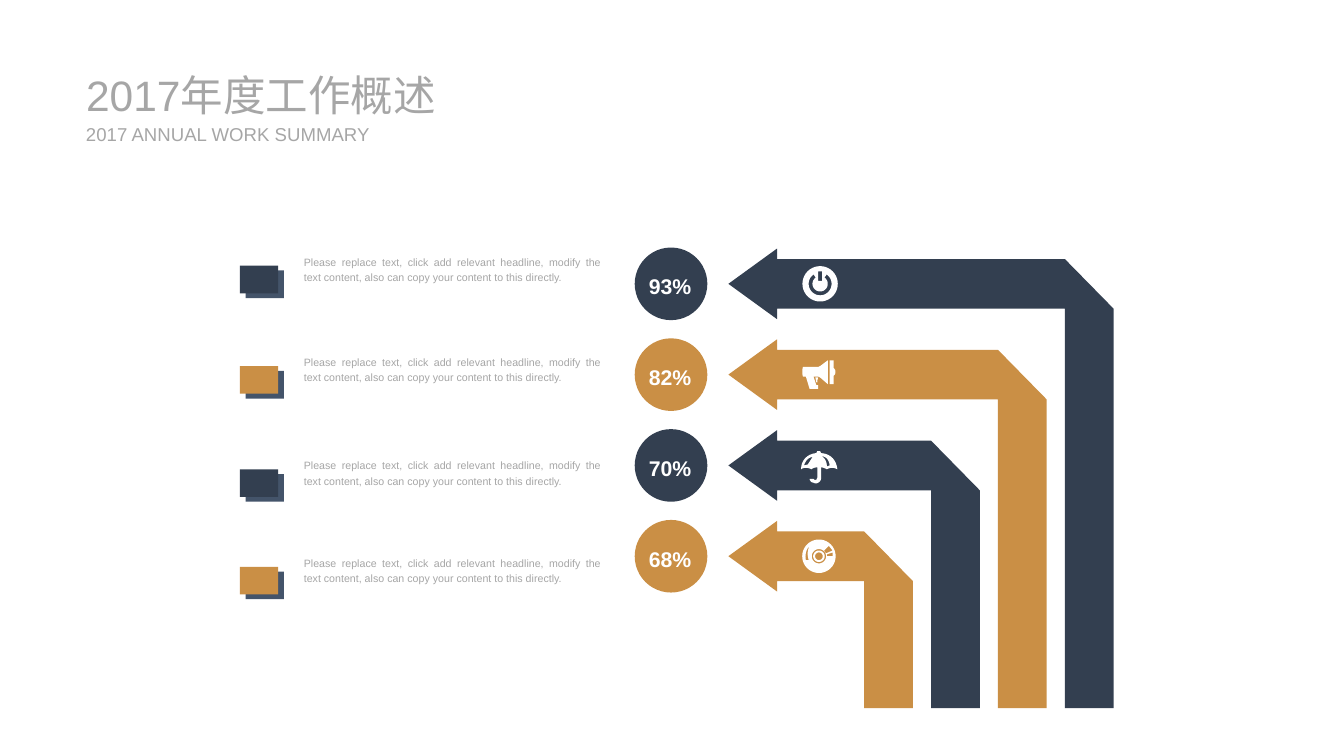
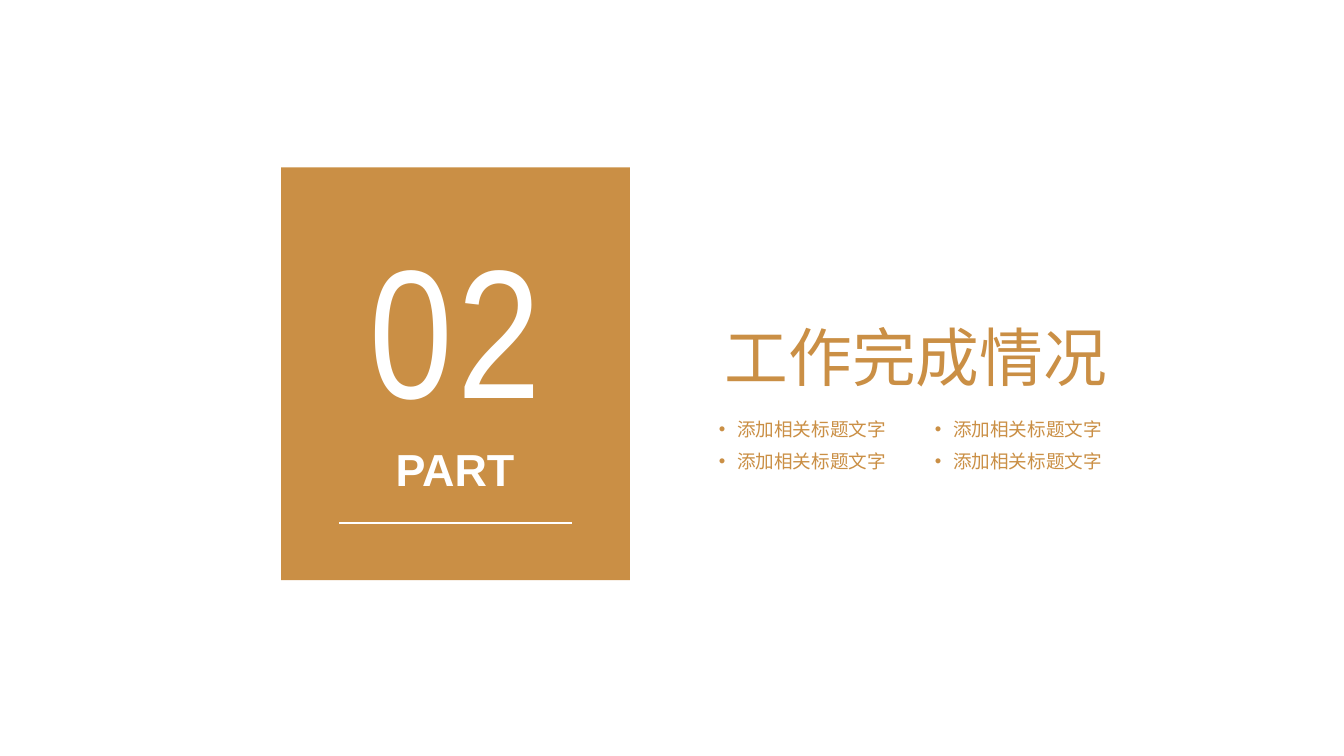
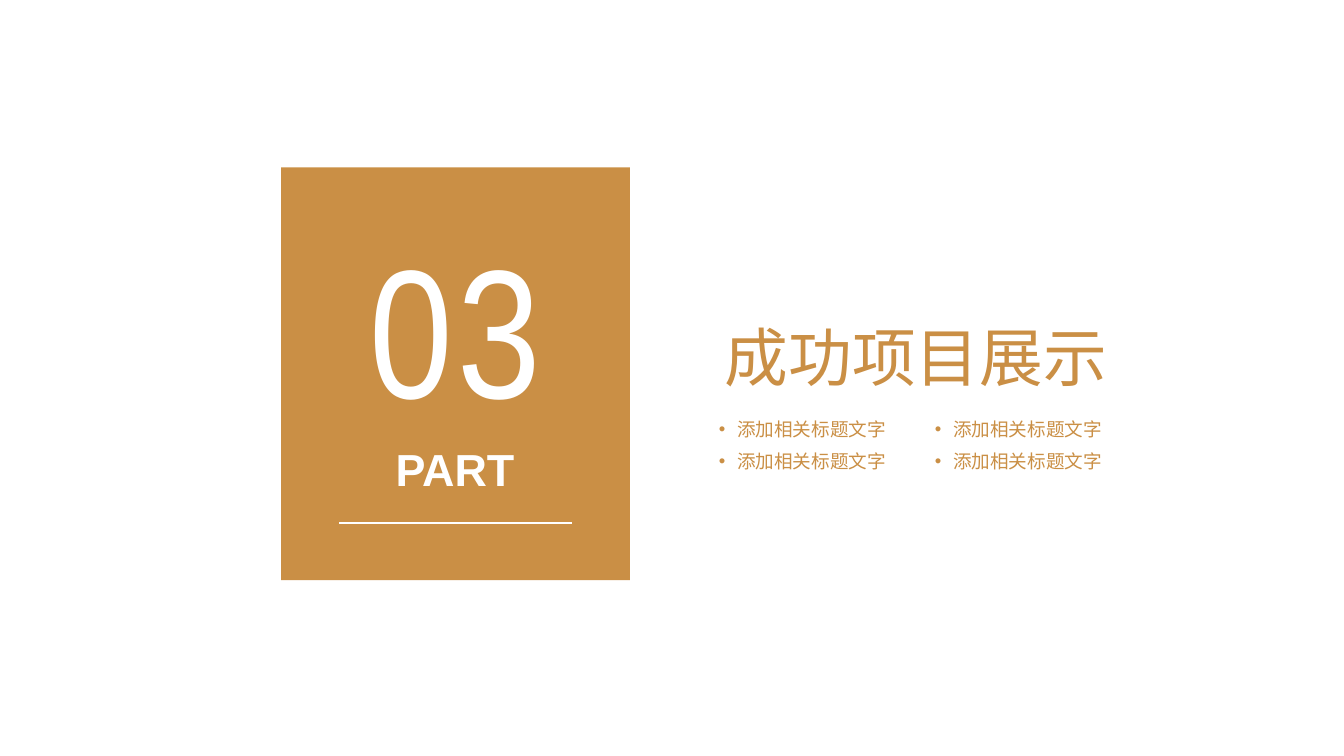
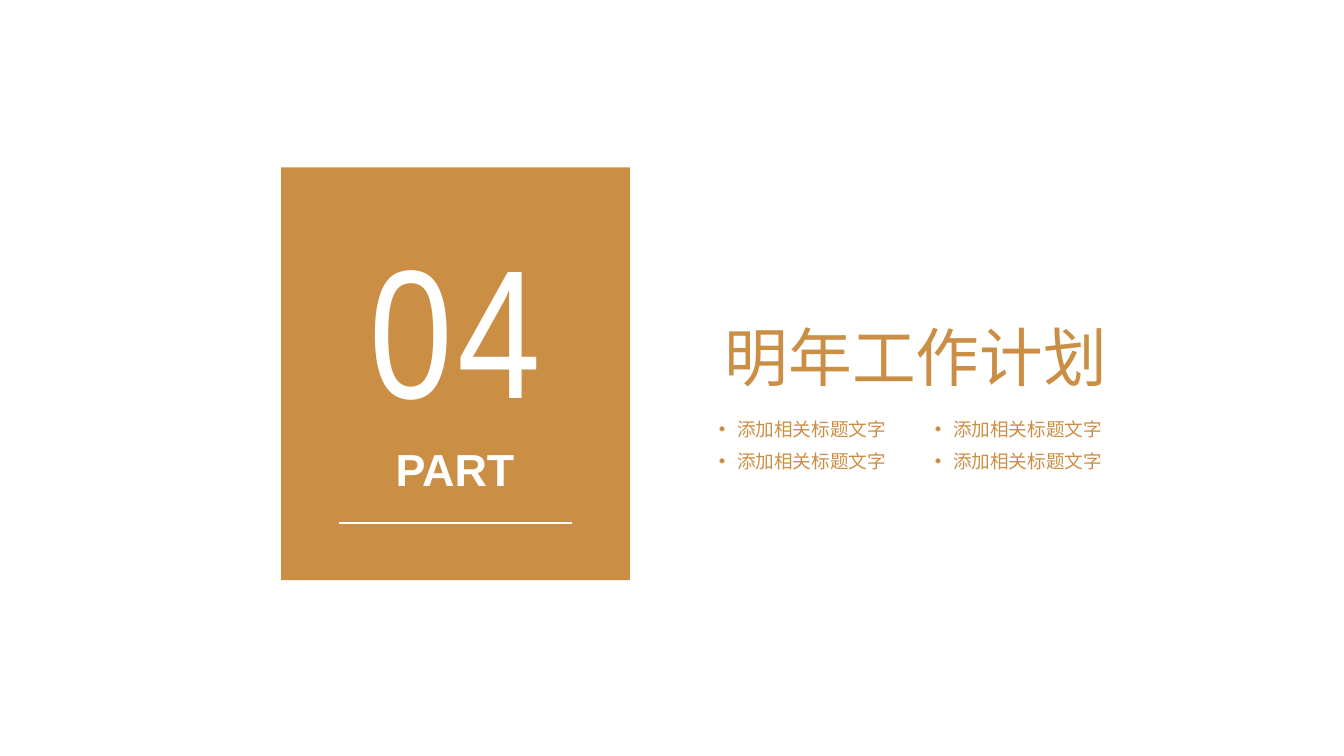
from collections import namedtuple
from dataclasses import dataclass
from math import cos, radians, sin

from lxml.etree import SubElement
from pptx import Presentation
from pptx.dml.color import RGBColor
from pptx.enum.shapes import MSO_CONNECTOR, MSO_SHAPE
from pptx.enum.text import MSO_ANCHOR, MSO_AUTO_SIZE, PP_ALIGN
from pptx.oxml.ns import qn
from pptx.util import Inches, Pt

Box = namedtuple("Box", "x y w h")


@dataclass(frozen=True)
class Theme:
    navy: str = "333F50"
    slate: str = "44546A"
    gold: str = "CA8F45"
    gray: str = "A6A6A6"
    white: str = "FFFFFF"
    face: str = "Arial"
    narrow: str = "Arial Narrow"
    small: float = 8
    body: float = 14
    value: float = 16
    title: float = 32
    label: float = 33.8
    head: float = 48
    number: float = 138


THEME = Theme()
BODY = ("Please replace text, click add relevant headline, modify the text content, "
        "also can copy your content to this directly.")
TOPIC = "添加相关标题文字"
SECTIONS = [("02", "工作完成情况", 2.81), ("03", "成功项目展示", 3.18), ("04", "明年工作计划", 2.56)]


def apply(target, values):
    for name, value in values.items():
        setattr(target, name, value)


def paint(shape, color):
    shape.shadow.inherit = False
    shape.fill.solid()
    shape.fill.fore_color.rgb = RGBColor.from_string(color)
    shape.line.fill.background()


def add_block(slide, kind, box, color):
    shape = slide.shapes.add_shape(kind, *map(Inches, box))
    paint(shape, color)


def add_text(slide, box, text, size, color, face=THEME.face, bold=False,
             frame=None, para=None, inset=0):
    area = slide.shapes.add_textbox(*map(Inches, box)).text_frame
    margins = {f"margin_{side}": Inches(inset) for side in ("left", "right")}
    margins |= {f"margin_{side}": Inches(inset / 2) for side in ("top", "bottom")}
    apply(area, {"word_wrap": True, "auto_size": MSO_AUTO_SIZE.SHAPE_TO_FIT_TEXT,
                 **margins, **(frame or {})})
    line = area.paragraphs[0]
    apply(line, para or {})
    run = line.add_run()
    run.text = text
    apply(run.font, {"name": face, "size": Pt(size), "bold": bold})
    run.font.color.rgb = RGBColor.from_string(color)
    return line


def add_outline(slide, paths, color):
    pen = None
    for path in paths:
        points = [(Inches(x), Inches(y)) for x, y in path]
        if pen is None:
            pen = slide.shapes.build_freeform(*points[0], scale=1.0)
        else:
            pen.move_to(*points[0])
        pen.add_line_segments(points[1:], close=True)
    paint(pen.convert_to_shape(), color)


def arc(x, y, radius, start=0, end=360, steps=40):
    angles = [radians(start + (end - start) * i / steps) for i in range(steps + 1)]
    return [(x + radius * cos(a), y + radius * sin(a)) for a in angles]


def trace(*marks, steps=8):
    points = []
    for mark in marks:
        if len(mark) == 2:
            points.append(mark)
            continue
        knots = [points[-1], mark[:2], mark[2:4], mark[4:]]
        for i in range(1, steps + 1):
            t = i / steps
            share = ((1 - t) ** 3, 3 * t * (1 - t) ** 2, 3 * t * t * (1 - t), t ** 3)
            points.append(tuple(sum(s * k[axis] for s, k in zip(share, knots))
                                for axis in (0, 1)))
    return points


POWER = [
    arc(0, 0, 18.5),
    [(-2, -13), (2, -13), (2, -3), (-2, -3)],
    arc(0, 0, 12, -55, 235) + arc(0, 0, 8, 235, -55),
]
HORN = [
    trace((-18, -8), (-2, -8), (0, -9), (8, -15), (8, 10), (0, 3), (-2, 2), (-7, 2),
          (-4, 11), (-2, 11), (-2, 15), (-11, 15), (-15, 2), (-18, 2),
          (-19, -1, -19, -5, -18, -8)),
    trace((14, -7), (15, -6, 16, -5, 16, -3), (16, -1, 15, 1, 14, 1),
          (14, 10), (10, 10), (10, -15), (14, -15)),
    [(-2, 3), (-5, 3), (-4, 8), (-3, 8), (-3, 6)],
]
BROLLY = [
    trace((-7, 14), (-6, 15), (-4, 15), (-3, 13), (-3, 2), (-6, 2, -8, 3, -9, 4),
          (-13, 2, -17, 2, -20, 4), (-20, -5, -14, -12, -4, -13), (-3, -15),
          (0, -15), (1, -13), (12, -12, 17, -5, 18, 4), (14, 2, 11, 2, 7, 4),
          (5, 3, 3, 2, 1, 2), (1, 13), (1, 15, 0, 17, -2, 18),
          (-3, 19, -6, 19, -7, 18), (-9, 18, -11, 16, -11, 14)),
    trace((7, 1), (10, 0), (9, -7, 6, -9, 1, -10), (5, -8, 7, -4, 7, 1)),
    trace((-17, 0), (-13, -1), (-11, -4, -9, -7, -8, -9), (-13, -8, -15, -5, -17, 0)),
]
DISC = [
    *[arc(-1.3, 0, radius) for radius in (17.5, 7.5, 6, 4)],
    trace((-11, -11), (-15, -7, -16, -1, -15, 4), (-12, 4), (-14, -2, -13, -7, -11, -11)),
    [(4, -6), (6, -3), (13, -6), (9, -11)],
    [(13, -4), (7, -2), (7, 0), (13, 0)],
]


def add_arrow(slide, box, color, icon):
    wing, half, bend = 0.37, 0.26, 0.51
    right, base = box.x + box.w, box.y + box.h
    mid, neck, inner = box.y + wing, box.x + bend, right - bend
    add_outline(slide, [[
        (box.x, mid), (neck, box.y), (neck, mid - half), (inner, mid - half),
        (right, mid + half), (right, base), (inner, base), (inner, mid + half),
        (neck, mid + half), (neck, mid + wing)]], color)
    add_outline(slide, [[(box.x + 0.96 + x / 100, mid + y / 100) for x, y in path]
                        for path in icon], THEME.white)


def add_badge(slide, box, text, color):
    add_block(slide, MSO_SHAPE.OVAL, box, color)
    add_text(slide, Box(box.x + 0.05, box.y + 0.17, 0.65, 0.42), text, THEME.value,
             THEME.white, bold=True, frame={"word_wrap": False},
             para={"alignment": PP_ALIGN.JUSTIFY, "line_spacing": 1.2}, inset=0.1)


def add_note(slide, box, color):
    for shift, shade in ((0.06, THEME.slate), (0, color)):
        add_block(slide, MSO_SHAPE.RECTANGLE,
                  Box(box.x + shift, box.y + 0.18 + shift * 0.83, 0.4, 0.29), shade)
    add_text(slide, Box(box.x + 0.57, box.y, box.w - 0.57, box.h), BODY, THEME.small,
             THEME.gray, para={"alignment": PP_ALIGN.JUSTIFY, "line_spacing": 1.2},
             inset=0.1)


def add_title(slide, box, title, sub):
    frame = {"vertical_anchor": MSO_ANCHOR.MIDDLE}
    add_text(slide, Box(box.x, box.y, box.w, 0.54), title, THEME.title, THEME.gray,
             frame=frame)
    add_text(slide, Box(box.x, box.y + 0.56, 3.07, 0.24), sub, THEME.body, THEME.gray,
             frame=frame)


def add_summary(slide, box):
    add_title(slide, Box(box.x + 0.9, box.y + 0.72, 4.32, 0.8),
              "2017年度工作概述", "2017 ANNUAL WORK SUMMARY")
    rows = [("93%", POWER, 2.6), ("82%", HORN, 3.65), ("70%", BROLLY, 4.73),
            ("68%", DISC, 5.75)]
    pitch, step = 0.95, 0.7
    for i, (value, icon, top) in enumerate(rows):
        color = (THEME.navy, THEME.gold)[i % 2]
        drop = box.y + pitch * i
        add_badge(slide, Box(box.x + 6.64, drop + 2.59, 0.76, 0.76), value, color)
        add_arrow(slide, Box(box.x + 7.62, drop + 2.6, 4.03 - step * i,
                             4.81 - pitch * i), color, icon)
        add_note(slide, Box(box.x + 2.51, box.y + top, 3.88, 0.41), color)


def add_card(slide, box, number, width):
    center = {"alignment": PP_ALIGN.CENTER}
    add_block(slide, MSO_SHAPE.RECTANGLE, box, THEME.gold)
    level = Inches(box.y + 3.72)
    rule = slide.shapes.add_connector(MSO_CONNECTOR.STRAIGHT, Inches(box.x + 0.61), level,
                                      Inches(box.x + box.w - 0.61), level)
    rule.line.color.rgb = RGBColor.from_string(THEME.white)
    rule.line.width = Pt(1.5)
    SubElement(rule._element.spPr, qn("a:effectLst"))
    add_text(slide, Box(box.x + 0.48, box.y + 2.87, 2.68, 0.57), "PART", THEME.label,
             THEME.white, bold=True, para=center)
    line = add_text(slide, Box(box.x + (box.w - width) / 2, box.y + 0.45, width, 2.42),
                    number, THEME.number, THEME.white, THEME.narrow, para=center, inset=0.1)
    gap = SubElement(line._p.get_or_add_pPr(), qn("a:spcBef"))
    SubElement(gap, qn("a:spcPct")).set("val", "20000")
    line.runs[0]._r.get_or_add_rPr().set("spc", "300")


def add_topics(slide, box, title):
    add_text(slide, Box(box.x + 0.06, box.y, box.w - 0.06, 0.81), title, THEME.head,
             THEME.gold)
    for i in range(4):
        row, col = divmod(i, 2)
        line = add_text(slide, Box(box.x + 2.26 * col, box.y + 1.05 + 0.34 * row,
                                   2.01, 0.24), TOPIC, THEME.body, THEME.gold,
                        para={"level": 1})
        props = line._p.get_or_add_pPr()
        for name, value in {"marL": 0.19, "indent": -0.19}.items():
            props.set(name, str(int(Inches(value))))
        SubElement(props, qn("a:buFont")).set("typeface", THEME.face)
        SubElement(props, qn("a:buChar")).set("char", "•")


def main():
    deck = Presentation()
    apply(deck, {"slide_width": Inches(14.06), "slide_height": Inches(7.91)})
    blank = deck.slide_layouts[6]
    add_summary(deck.slides.add_slide(blank), Box(0, 0, 14.06, 7.91))
    for number, title, width in SECTIONS:
        slide = deck.slides.add_slide(blank)
        add_card(slide, Box(2.94, 1.75, 3.65, 4.32), number, width)
        add_topics(slide, Box(7.52, 3.32, 4.78, 1.63), title)
    deck.save("out.pptx")


if __name__ == "__main__":
    main()
